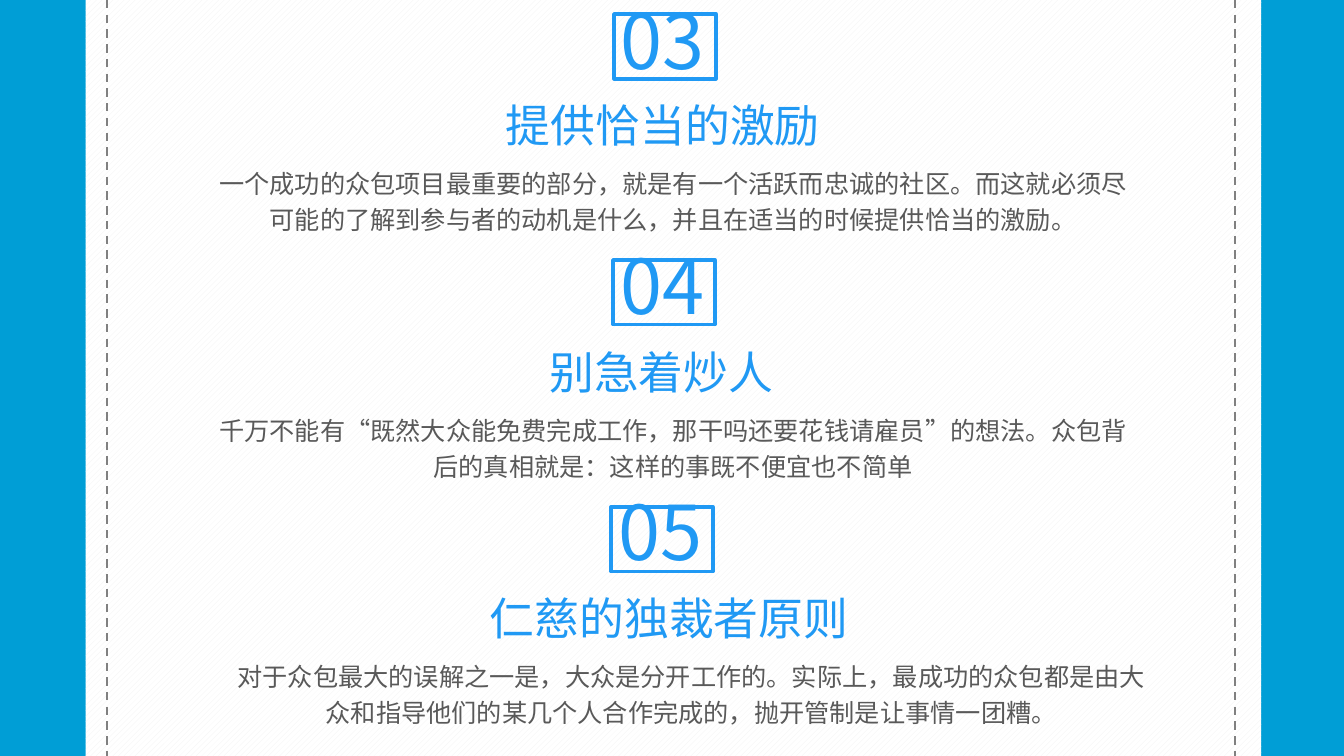
from dataclasses import dataclass

from lxml.etree import SubElement
from pptx import Presentation
from pptx.dml.color import RGBColor
from pptx.enum.dml import MSO_LINE, MSO_PATTERN
from pptx.enum.shapes import MSO_CONNECTOR, MSO_SHAPE
from pptx.enum.text import MSO_AUTO_SIZE, PP_ALIGN
from pptx.oxml.ns import qn
from pptx.util import Inches, Pt

FONT = "Noto Sans CJK SC"
BLUE, GRAY = "2099F4", "595959"
PAGE_WIDTH, PAGE_HEIGHT = 13.33, 7.5


@dataclass
class Area:
    left: float
    top: float
    width: float
    height: float

    def lengths(self) -> list:
        return [Inches(n) for n in (self.left, self.top, self.width, self.height)]


@dataclass
class Principle:
    number: str
    title: str
    body: str
    frame: Area
    number_area: Area
    title_area: Area
    body_area: Area


PRINCIPLES = [
    Principle(
        "03", "提供恰当的激励",
        "一个成功的众包项目最重要的部分，就是有一个活跃而忠诚的社区。而这就必须尽"
        "可能的了解到参与者的动机是什么，并且在适当的时候提供恰当的激励。",
        Area(6.09, 0.14, 1.01, 0.64), Area(6.06, -0.11, 1.13, 1.01),
        Area(4.92, 0.92, 3.52, 0.64), Area(2.06, 1.56, 9.23, 0.83)),
    Principle(
        "04", "别急着炒人",
        "千万不能有“既然大众能免费完成工作，那干吗还要花钱请雇员”的想法。众包背"
        "后的真相就是：这样的事既不便宜也不简单",
        Area(6.08, 2.58, 1.01, 0.64), Area(6.06, 2.32, 1.16, 1.01),
        Area(5.35, 3.37, 2.5, 0.64), Area(2.06, 4.01, 9.23, 0.83)),
    Principle(
        "05", "仁慈的独裁者原则",
        "对于众包最大的误解之一是，大众是分开工作的。实际上，最成功的众包都是由大"
        "众和指导他们的某几个人合作完成的，抛开管制是让事情一团糟。",
        Area(6.06, 5.03, 1.01, 0.64), Area(6.04, 4.76, 1.16, 1.01),
        Area(4.76, 5.81, 3.84, 0.64), Area(2.2, 6.45, 9.31, 0.8)),
]


def color(value: str) -> RGBColor:
    return RGBColor.from_string(value)


def add_panel(page) -> None:
    panel = page.shapes.add_shape(
        MSO_SHAPE.RECTANGLE, *Area(0.85, 0, 11.66, PAGE_HEIGHT).lengths())
    panel.shadow.inherit = False
    panel.fill.patterned()
    panel.fill.pattern = MSO_PATTERN.WIDE_UPWARD_DIAGONAL
    panel.fill.fore_color.rgb = color("F2F2F2")
    panel.fill.back_color.rgb = color("FFFFFF")
    panel.line.fill.background()


def add_dashed_line(page, x: float) -> None:
    line = page.shapes.add_connector(
        MSO_CONNECTOR.STRAIGHT, Inches(x), 0, Inches(x), Inches(PAGE_HEIGHT))
    line.line.color.rgb = color("808080")
    line.line.width = Pt(1.5)
    line.line.dash_style = MSO_LINE.DASH
    SubElement(line._element.spPr, qn("a:effectLst"))


def add_frame(shapes, area: Area) -> None:
    frame = shapes.add_shape(MSO_SHAPE.RECTANGLE, *area.lengths())
    frame.shadow.inherit = False
    frame.fill.background()
    frame.line.color.rgb = color(BLUE)
    frame.line.width = Pt(2.75)


def add_text(shapes, area: Area, text: str, size: int, ink: str,
             align: PP_ALIGN = PP_ALIGN.LEFT, spacing: float = 1.0) -> None:
    box = shapes.add_textbox(*area.lengths())
    box.text_frame.word_wrap = True
    box.text_frame.auto_size = MSO_AUTO_SIZE.SHAPE_TO_FIT_TEXT
    para = box.text_frame.paragraphs[0]
    para.alignment = align
    para.line_spacing = spacing
    span = para.add_run()
    span.text = text
    span.font.size = Pt(size)
    span.font.color.rgb = color(ink)
    span.font.name = FONT
    SubElement(span.font._element, qn("a:ea")).set("typeface", FONT)


def add_heading(page, principle: Principle) -> None:
    group = page.shapes.add_group_shape()
    add_frame(group.shapes, principle.frame)
    add_text(group.shapes, principle.number_area, principle.number, 54, BLUE)
    add_text(group.shapes, principle.title_area, principle.title, 32, BLUE)


def main() -> None:
    deck = Presentation()
    deck.slide_width, deck.slide_height = Inches(PAGE_WIDTH), Inches(PAGE_HEIGHT)
    page = deck.slides.add_slide(deck.slide_layouts[6])
    page.background.fill.solid()
    page.background.fill.fore_color.rgb = color("009ED6")
    add_panel(page)
    for x in (12.25, 1.06):
        add_dashed_line(page, x)
    for principle in PRINCIPLES:
        add_heading(page, principle)
    for principle in PRINCIPLES:
        add_text(page.shapes, principle.body_area, principle.body, 18, GRAY,
                 PP_ALIGN.CENTER, 1.2)
    deck.save("out.pptx")


if __name__ == "__main__":
    main()
